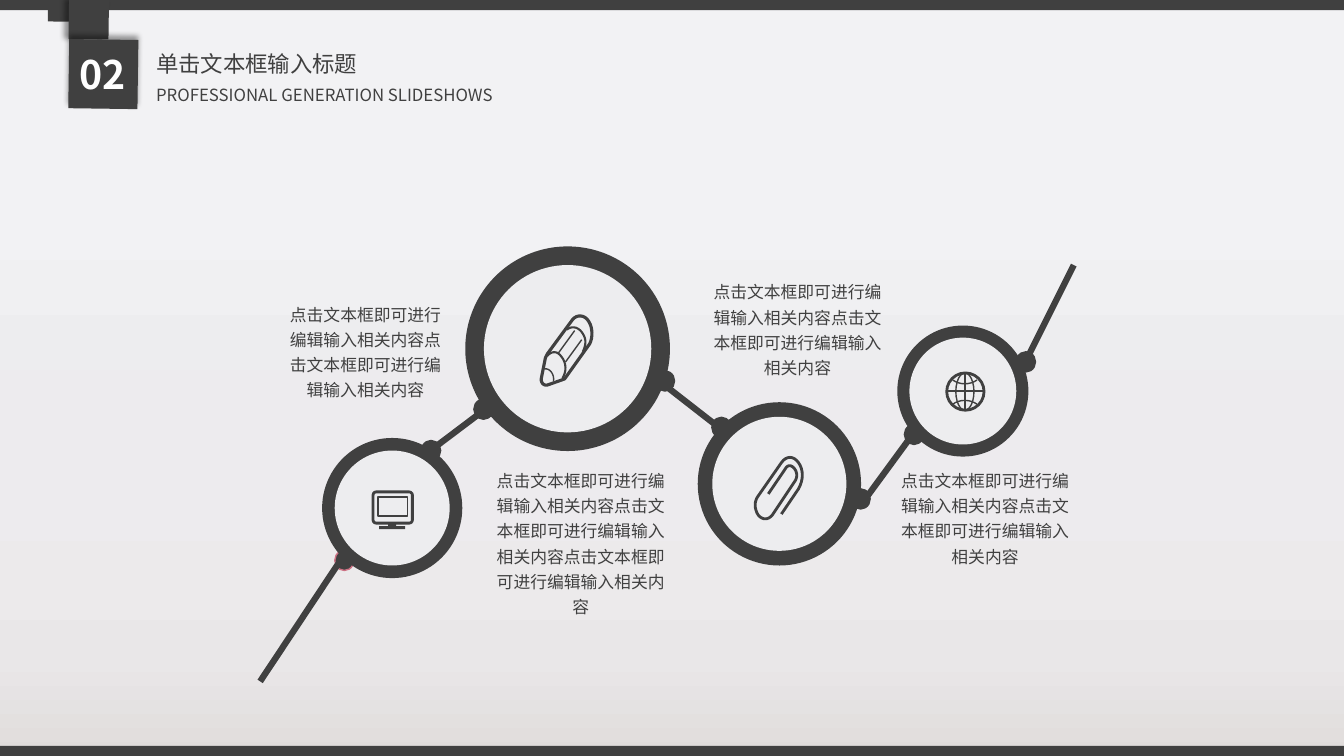
"""Build a section slide with four linked icon rings and their captions."""
from dataclasses import dataclass

from lxml import etree
from pptx import Presentation
from pptx.dml.color import RGBColor
from pptx.enum.shapes import MSO_CONNECTOR, MSO_SHAPE
from pptx.enum.text import MSO_ANCHOR, MSO_AUTO_SIZE, PP_ALIGN
from pptx.oxml.ns import qn
from pptx.util import Inches, Pt

RECT, ROUND = MSO_SHAPE.RECTANGLE, MSO_SHAPE.ROUNDED_RECTANGLE
OVAL, DIAMOND = MSO_SHAPE.OVAL, MSO_SHAPE.DIAMOND
STRAIGHT = MSO_CONNECTOR.STRAIGHT
LEFT, CENTER, TOP = PP_ALIGN.LEFT, PP_ALIGN.CENTER, MSO_ANCHOR.TOP
FIT = MSO_AUTO_SIZE.SHAPE_TO_FIT_TEXT

FONT = "Noto Sans CJK SC"
DARK, PALE, WHITE, PINK = "404040", "EDEDEF", "FFFFFF", "CD7183"
SENTENCE = "点击文本框即可进行编辑输入相关内容"
BACKGROUND = [(0, "E0DCDB"), (13, "E9E7E8"), (23, "ECEAEB"),
              (34, "EDEBEE"), (51, "EDEDEF"), (73, "F2F2F4")]


@dataclass
class Ring:
    cx: float
    cy: float
    outer: float
    inner: float


@dataclass
class Dot:
    left: float
    top: float
    line: str = DARK


@dataclass
class Link:
    x1: float
    y1: float
    x2: float
    y2: float


@dataclass
class Caption:
    left: float
    top: float
    width: float
    height: float
    repeats: int = 2


@dataclass
class Tag:
    left: float
    top: float
    size: float
    rotation: float
    shadow_angle: int | None = None


@dataclass
class Stroke:
    """Start point, then line steps (x, y) or cubic steps (six numbers)."""
    width: float
    steps: list[tuple[float, ...]]


RINGS = [Ring(9.55, 3.88, 1.3, 1.06), Ring(7.73, 4.8, 1.62, 1.33),
         Ring(5.63, 3.46, 2.03, 1.66), Ring(3.89, 5.04, 1.39, 1.14)]
DOTS = [Dot(4.7, 3.96), Dot(10.08, 3.49), Dot(8.44, 4.85), Dot(8.97, 4.21),
        Dot(7.06, 4.14), Dot(6.5, 3.68), Dot(4.18, 4.37), Dot(3.32, 5.46, PINK)]
LINKS = [Link(4.27, 4.47, 4.8, 4.07), Link(6.54, 3.78, 7.22, 4.31),
         Link(10.17, 3.59, 10.65, 2.63), Link(8.59, 4.94, 9, 4.38),
         Link(3.39, 5.54, 2.58, 6.76)]
CAPTIONS = [Caption(2.75, 2.92, 1.75, 1.11), Caption(6.92, 2.7, 1.98, 1.11),
            Caption(4.77, 4.57, 1.98, 1.17, 3), Caption(8.78, 4.57, 1.98, 1.11)]
TAGS = [Tag(0.43, -0.05, 0.31, 45.8), Tag(0.6, -0.09, 0.56, 135.8, 180),
        Tag(0.54, 0.25, 0.97, 315.8, 270)]

GLOBE = [Stroke(1, [(9.57, 3.7), (9.57, 4.07)]),
         Stroke(1, [(9.39, 3.88), (9.76, 3.88)]),
         Stroke(1, [(9.45, 3.77), (9.52, 3.82, 9.62, 3.82, 9.69, 3.77)]),
         Stroke(1, [(9.45, 4.01), (9.52, 3.96, 9.62, 3.96, 9.69, 4.01)])]
CLIP = [Stroke(2, [(7.75, 5.1), (7.92, 4.85), (7.97, 4.76, 7.97, 4.66, 7.92, 4.59),
                   (7.87, 4.52, 7.8, 4.52, 7.75, 4.59), (7.52, 4.92),
                   (7.48, 4.97, 7.48, 5.05, 7.52, 5.11),
                   (7.56, 5.16, 7.62, 5.16, 7.66, 5.11), (7.88, 4.78),
                   (7.91, 4.74, 7.91, 4.69, 7.88, 4.65),
                   (7.85, 4.61, 7.81, 4.61, 7.79, 4.65), (7.62, 4.9)])]
PENCIL = [Stroke(2.25, [(5.6, 3.76), (5.43, 3.82), (5.39, 3.83, 5.36, 3.79, 5.37, 3.75),
                        (5.41, 3.55), (5.42, 3.53, 5.42, 3.53, 5.43, 3.51), (5.68, 3.17),
                        (5.72, 3.12, 5.8, 3.12, 5.84, 3.19),
                        (5.88, 3.25, 5.88, 3.35, 5.85, 3.41), (5.6, 3.76)]),
          Stroke(1.5, [(5.43, 3.53), (5.47, 3.48, 5.53, 3.48, 5.57, 3.54),
                       (5.62, 3.6, 5.62, 3.69, 5.58, 3.75)]),
          Stroke(1.5, [(5.62, 3.27), (5.69, 3.22, 5.75, 3.26, 5.78, 3.31),
                       (5.82, 3.37, 5.81, 3.43, 5.78, 3.49)]),
          Stroke(1, [(5.54, 3.5), (5.7, 3.28)]),
          Stroke(1, [(5.61, 3.59), (5.77, 3.37)]),
          Stroke(1, [(5.4, 3.66), (5.45, 3.65, 5.5, 3.71, 5.49, 3.78)])]


def rgb(value: str) -> RGBColor:
    return RGBColor.from_string(value)


def add_shape(s, kind, left, top, width, height, fill=DARK, line=None, weight=1):
    shape = s.shapes.add_shape(kind, Inches(left), Inches(top), Inches(width), Inches(height))
    shape.shadow.inherit = False
    if fill:
        shape.fill.solid()
        shape.fill.fore_color.rgb = rgb(fill)
    else:
        shape.fill.background()
    if line:
        shape.line.color.rgb = rgb(line)
        shape.line.width = Pt(weight)
    else:
        shape.line.fill.background()
    return shape


def add_disc(s, cx: float, cy: float, size: float, fill: str) -> None:
    add_shape(s, OVAL, cx - size / 2, cy - size / 2, size, size, fill)


def add_tag(s, tag: Tag) -> None:
    shape = add_shape(s, DIAMOND, tag.left, tag.top, tag.size, tag.size)
    shape.rotation = tag.rotation
    if tag.shadow_angle is not None:
        effects = shape._element.spPr.find(qn("a:effectLst"))
        shadow = etree.SubElement(effects, qn("a:outerShdw"), blurRad=str(Pt(4)), dist=str(Pt(3)),
                                  dir=str(tag.shadow_angle * 60000), rotWithShape="0")
        color = etree.SubElement(shadow, qn("a:srgbClr"), val="000000")
        etree.SubElement(color, qn("a:alpha"), val="40000")


def add_link(s, link: Link) -> None:
    line = s.shapes.add_connector(STRAIGHT, Inches(link.x1), Inches(link.y1),
                                  Inches(link.x2), Inches(link.y2))
    line.line.color.rgb = rgb(DARK)
    line.line.width = Pt(4.5)
    etree.SubElement(line._element.spPr, qn("a:effectLst"))


def add_stroke(s, stroke: Stroke) -> None:
    points = [stroke.steps[0]]
    for step in stroke.steps[1:]:
        x0, y0 = points[-1]
        if len(step) == 2:
            points.append(step)
            continue
        xs, ys = (x0, *step[::2]), (y0, *step[1::2])
        for t in (i / 8 for i in range(1, 9)):
            weights = ((1 - t) ** 3, 3 * t * (1 - t) ** 2, 3 * t * t * (1 - t), t ** 3)
            points.append(tuple(sum(w * v for w, v in zip(weights, axis)) for axis in (xs, ys)))
    emu = [(Inches(x), Inches(y)) for x, y in points]
    builder = s.shapes.build_freeform(*emu[0])
    builder.add_line_segments(emu[1:], close=False)
    shape = builder.convert_to_shape()
    shape.shadow.inherit = False
    shape.fill.background()
    shape.line.color.rgb = rgb(DARK)
    shape.line.width = Pt(stroke.width)


def set_text(shape, box, text, size, color=DARK, bold=False, align=LEFT, spacing=1.0, wrap=True):
    shape.left, shape.top, shape.width, shape.height = (Inches(v) for v in box)
    tf = shape.text_frame
    tf.text = text
    tf.word_wrap = wrap
    tf.auto_size = FIT
    tf.vertical_anchor = TOP
    p = tf.paragraphs[0]
    p.alignment, p.line_spacing = align, spacing
    r = p.runs[0]
    r.font.name, r.font.size, r.font.bold = FONT, Pt(size), bold
    r.font.color.rgb = rgb(color)
    etree.SubElement(r._r.get_or_add_rPr(), qn("a:ea"), typeface=FONT)


def add_text(s, box, text, size, **style) -> None:
    set_text(s.shapes.add_textbox(0, 0, 0, 0), box, text, size, **style)


def set_background(s) -> None:
    fill = s.background.fill
    fill.gradient()
    fill.gradient_angle = 90
    stops = s._element.find(".//" + qn("a:gsLst"))
    stops.clear()
    for position, color in BACKGROUND:
        stop = etree.SubElement(stops, qn("a:gs"), pos=str(position * 1000))
        etree.SubElement(stop, qn("a:srgbClr"), val=color)


def main() -> None:
    prs = Presentation()
    prs.slide_width, prs.slide_height = Inches(13.33), Inches(7.5)
    s = prs.slides.add_slide(prs.slide_layouts[5])
    set_background(s)
    for top in (0, 7.4):
        add_shape(s, RECT, 0, top, 13.33, 0.1)
    for tag in TAGS:
        add_tag(s, tag)
    add_text(s, (0.66, 0.45, 0.72, 0.57), "02", 28, color=WHITE, bold=True, align=CENTER)
    set_text(s.shapes.title, (1.45, 0.31, 2.22, 0.46), "单击文本框输入标题", 16, spacing=1.5, wrap=False)
    add_text(s, (1.45, 0.79, 4.64, 0.3), "PROFESSIONAL GENERATION SLIDESHOWS", 12)
    for dot in DOTS:
        add_shape(s, OVAL, dot.left, dot.top, 0.19, 0.2, line=dot.line)
    for link in LINKS:
        add_link(s, link)
    for ring in RINGS:
        add_disc(s, ring.cx, ring.cy, ring.outer, DARK)
        add_disc(s, ring.cx, ring.cy, ring.inner, PALE)
    add_shape(s, OVAL, 9.39, 3.7, 0.37, 0.37, None, DARK, 2)
    add_shape(s, OVAL, 9.48, 3.7, 0.18, 0.37, None, DARK, 1)
    for stroke in GLOBE + CLIP + PENCIL:
        add_stroke(s, stroke)
    add_shape(s, ROUND, 3.7, 4.88, 0.39, 0.31, None, DARK, 2).adjustments[0] = 0.1
    add_shape(s, RECT, 3.75, 4.93, 0.29, 0.19, None, DARK, 1)
    add_shape(s, RECT, 3.85, 5.19, 0.08, 0.04)
    add_shape(s, ROUND, 3.76, 5.22, 0.26, 0.03)
    for c in CAPTIONS:
        add_text(s, (c.left, c.top, c.width, c.height), SENTENCE * c.repeats, 12,
                 align=CENTER, spacing=1.25)
    prs.save("out.pptx")


if __name__ == "__main__":
    main()
